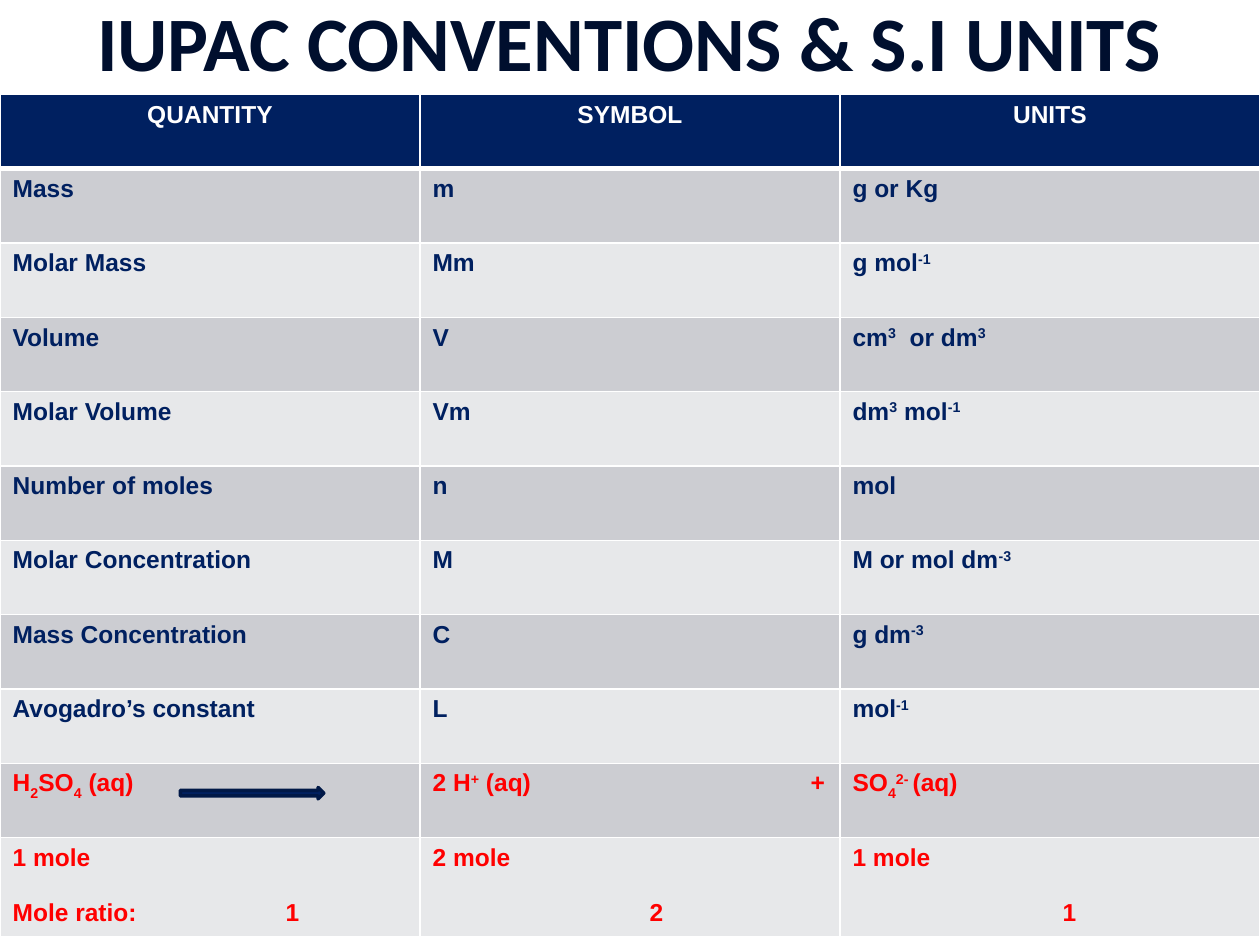
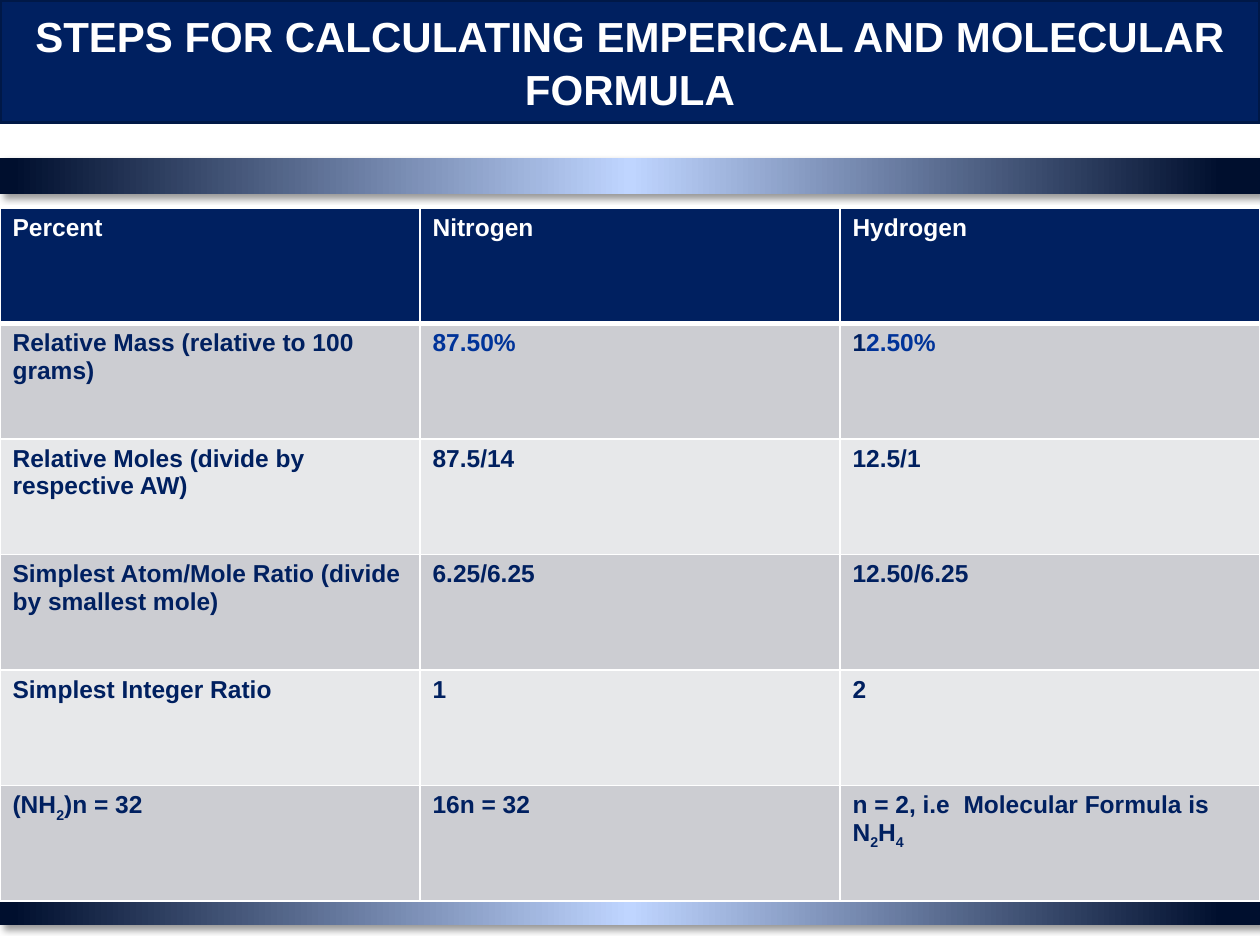
from pptx import Presentation
from pptx.dml.color import RGBColor as RGB
from pptx.enum.shapes import MSO_SHAPE as SHAPE
from pptx.enum.text import MSO_ANCHOR as ANCHOR, PP_ALIGN as ALIGN
from pptx.oxml import parse_xml
from pptx.oxml.ns import nsdecls
from pptx.util import Pt

NAVY = RGB(0x00, 0x20, 0x60)
EDGE = RGB(0x00, 0x18, 0x47)
INK = RGB(0x00, 0x0F, 0x2E)
SKY = RGB(0xBF, 0xD5, 0xFF)
BLUE = RGB(0x00, 0x33, 0x99)
RED = RGB(0xFF, 0x00, 0x00)
WHITE = RGB(0xFF, 0xFF, 0xFF)
BLACK = RGB(0x00, 0x00, 0x00)
DARK = RGB(0xCC, 0xCD, 0xD2)
PALE = RGB(0xE7, 0xE8, 0xEA)
NS = nsdecls("a")
WIDE, HIGH = 720, 540

# "|" splits a text into runs: ^ raises, _ lowers, * turns blue.
SHIFT = {"^": "30000", "_": "-25000"}

UNITS = [
    ["QUANTITY", "SYMBOL", "UNITS"],
    ["Mass", "m", "g or Kg"],
    ["Molar Mass", "Mm", "g mol|^-1"],
    ["Volume", "V", "cm|^3|  or dm|^3"],
    ["Molar Volume", "Vm", "dm|^3| mol|^-1"],
    ["Number of moles", "n", "mol"],
    ["Molar Concentration", "M", "M or mol dm|^-3"],
    ["Mass Concentration", "C", "g dm|^-3"],
    ["Avogadro’s constant", "L", "mol|^-1"],
    ["H|_2|SO|_4| (aq)", "2 H|^+| (aq)\t+", "SO|_4|^2- |(aq)"],
    ["1 mole\nMole ratio:\t1", "2 mole\n\t2", "1 mole\n\t1"],
]
STEPS = [
    ["Percent", "Nitrogen", "Hydrogen"],
    ["Relative Mass (relative to 100 grams)", "*87.50%", "1|*2.50%"],
    ["Relative Moles (divide by respective AW)", "87.5/14", "12.5/1"],
    ["Simplest Atom/Mole Ratio (divide by smallest mole)",
     "6.25/6.25", "12.50/6.25"],
    ["Simplest Integer Ratio", "1", "2"],
    ["(NH|_2|)n = 32", "16n = 32",
     "n = 2, i.e  Molecular Formula is N|_2|H|_4"],
]
STOPS = {(9, 1): 216, (10, 0): 156, (10, 1): 124, (10, 2): 120}


def style(para, name, size, color):
    font = para.font
    font.name, font.size, font.bold = name, Pt(size), True
    font.color.rgb = color


def add_runs(para, text):
    for part in text.split("|"):
        mark = part[0] if part[0] in "^_*" else ""
        run = para.add_run()
        run.text = part[len(mark):]
        if mark in SHIFT:
            run.font._element.set("baseline", SHIFT[mark])
        elif mark:
            run.font.color.rgb = BLUE


def add_tab(para, stop):
    para._p.get_or_add_pPr().append(parse_xml(
        f'<a:tabLst {NS}><a:tab pos="{Pt(stop)}" algn="l"/></a:tabLst>'))


def add_edges(cell, top, foot):
    props = cell._tc.get_or_add_tcPr()
    for side, width in (("L", 1), ("R", 1), ("T", top), ("B", foot)):
        props.append(parse_xml(
            f'<a:ln{side} {NS} w="{Pt(width)}"><a:solidFill>'
            f'<a:srgbClr val="{WHITE}"/></a:solidFill></a:ln{side}>'))


def fill_cell(cell, text, color, align=None, stop=None):
    frame = cell.text_frame
    for i, line in enumerate(text.split("\n")):
        para = frame.add_paragraph() if i else frame.paragraphs[0]
        if i:
            para.space_before = Pt(16)
        if stop and "\t" in line:
            add_tab(para, stop)
        para.alignment = align
        add_runs(para, line)
        style(para, "Arial", 14, color)


def add_grid(slide, data, top, heights, align=None, stops={}, reds=()):
    count = len(data[0])
    grid = slide.shapes.add_table(
        len(data), count, 0, Pt(top), Pt(WIDE), Pt(sum(heights))).table
    for col in grid.columns:
        col.width = Pt(WIDE / count)
    for r, texts in enumerate(data):
        grid.rows[r].height = Pt(heights[r])
        for c, text in enumerate(texts):
            cell = grid.cell(r, c)
            add_edges(cell, 3 if r == 1 else 1, 1 if r else 3)
            cell.fill.solid()
            cell.fill.fore_color.rgb = (DARK if r % 2 else PALE) if r else NAVY
            ink = RED if r in reds else NAVY if r else WHITE
            fill_cell(cell, text, ink, None if r else align, stops.get((r, c)))


def add_shape(slide, kind, left, top, width, height):
    shape = slide.shapes.add_shape(
        kind, Pt(left), Pt(top), Pt(width), Pt(height))
    shape.shadow.inherit = False
    return shape


def add_solid(slide, kind, *box):
    shape = add_shape(slide, kind, *box)
    shape.fill.solid()
    shape.fill.fore_color.rgb = NAVY
    shape.line.color.rgb = EDGE
    shape.line.width = Pt(2)
    return shape


def add_band(slide, top):
    band = add_shape(slide, SHAPE.RECTANGLE, 0, top, WIDE, 20.9)
    band.line.fill.background()
    tints = ((0, INK), (3, INK), (50, SKY), (99, INK), (100, INK))
    stops = "".join(f'<a:gs pos="{at * 1000}"><a:srgbClr val="{tint}"/></a:gs>'
                    for at, tint in tints)
    props = band._element.spPr
    props.insert(2, parse_xml(
        f'<a:gradFill {NS}><a:gsLst>{stops}</a:gsLst>'
        '<a:lin ang="10800000" scaled="0"/></a:gradFill>'))
    props[-1].append(parse_xml(
        f'<a:outerShdw {NS} blurRad="{Pt(4)}" dist="{Pt(3)}" dir="2700000">'
        f'<a:srgbClr val="{BLACK}"><a:alpha val="40000"/></a:srgbClr>'
        '</a:outerShdw>'))


def set_title(shape, text, name, size):
    frame = shape.text_frame
    frame.word_wrap = True
    frame.vertical_anchor = ANCHOR.MIDDLE
    para = frame.paragraphs[0]
    para.text, para.alignment = text, ALIGN.CENTER
    style(para, name, size, INK if name == "Calibri" else WHITE)


def units_slide(slide):
    box = slide.shapes.add_textbox(0, Pt(6), Pt(WIDE), Pt(35))
    set_title(box, "IUPAC CONVENTIONS & S.I UNITS", "Calibri", 44)
    add_grid(slide, UNITS, 54, [42.48] * 10 + [54.72],
             ALIGN.CENTER, STOPS, (9, 10))
    add_solid(slide, SHAPE.RIGHT_ARROW, 103, 450, 82, 6.5)


def steps_slide(slide):
    for top in (507.6, 90):
        add_band(slide, top)
    add_grid(slide, STEPS, 118.8, [66] * len(STEPS))
    head = add_solid(slide, SHAPE.RECTANGLE, 0, 0, WIDE, 70)
    set_title(head, "STEPS FOR CALCULATING EMPERICAL AND MOLECULAR FORMULA",
              "Arial", 24)
    head.text_frame.paragraphs[0].line_spacing = 1.05


def main():
    deck = Presentation()
    deck.slide_width, deck.slide_height = Pt(WIDE), Pt(HIGH)
    for build in (units_slide, steps_slide):
        build(deck.slides.add_slide(deck.slide_layouts[6]))
    deck.save("out.pptx")


if __name__ == "__main__":
    main()
